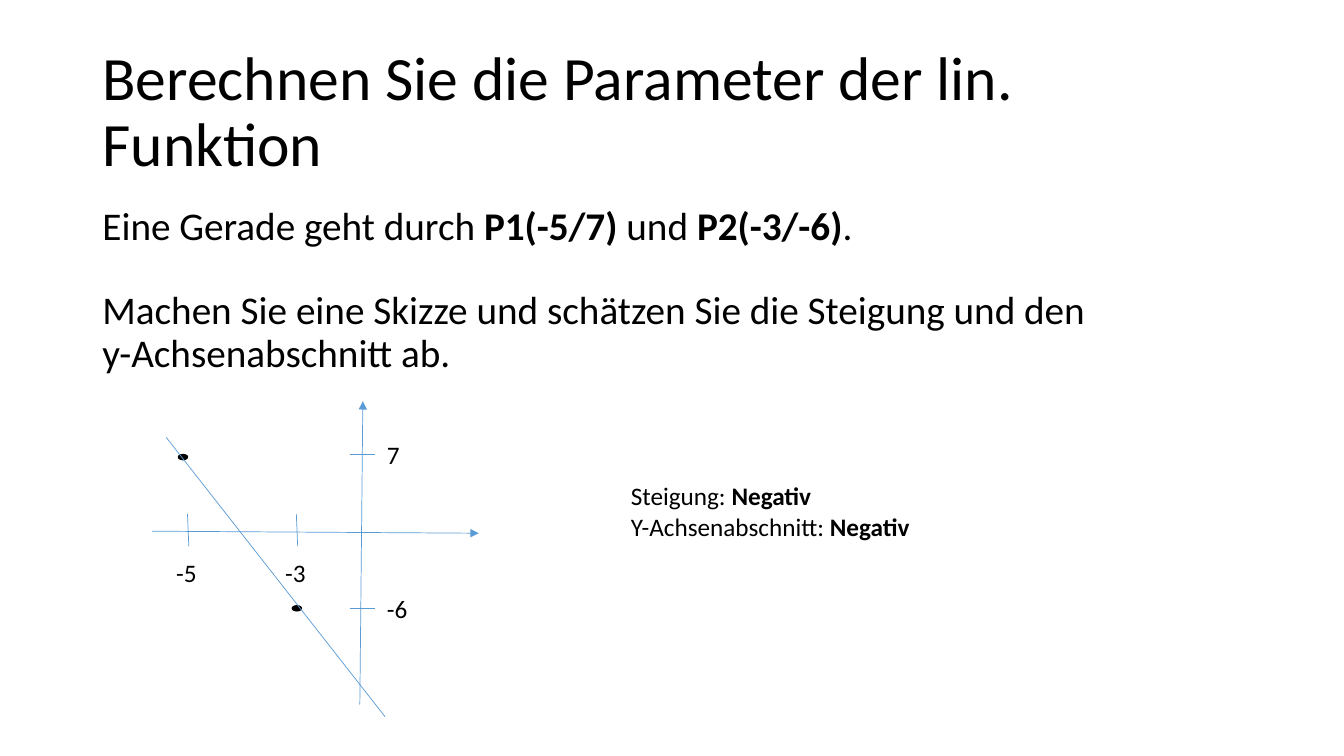
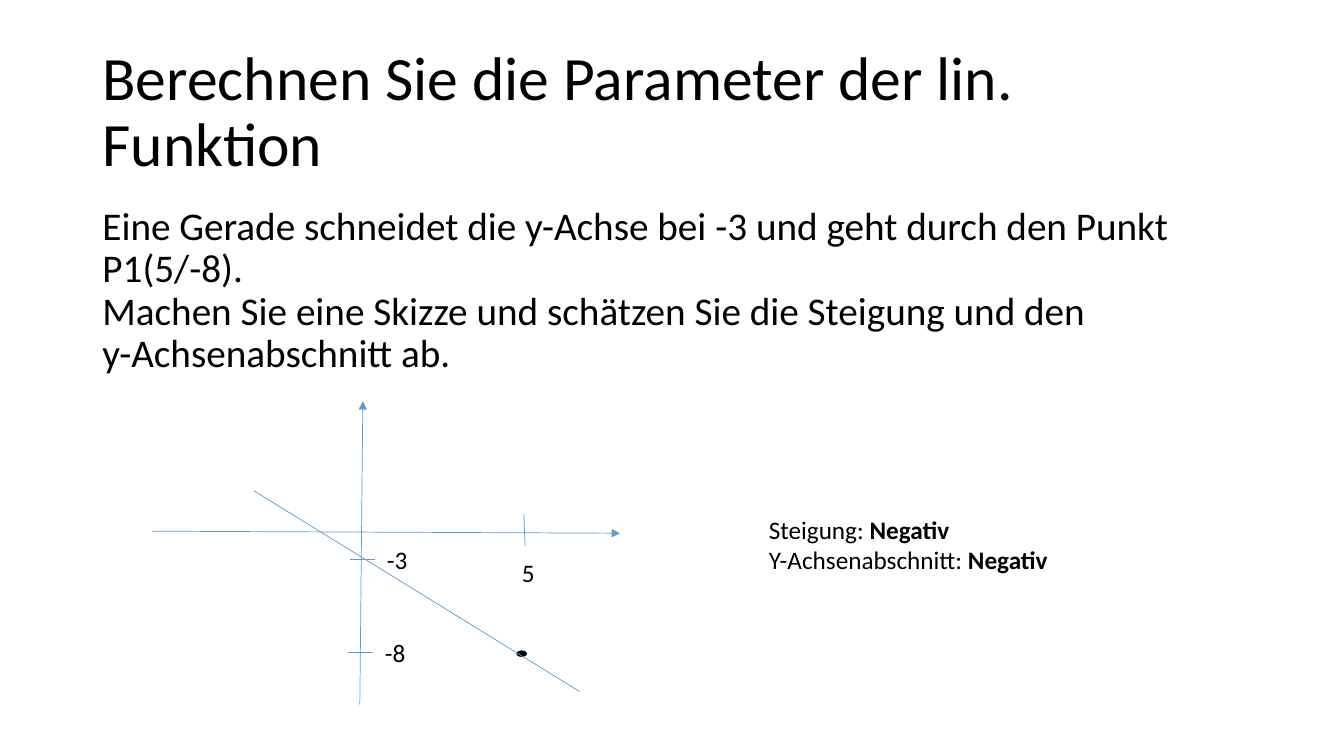
import lxml.etree
import pptx
import pptx.util
import pptx.dml.color
import pptx.enum.shapes
import pptx.enum.text
import pptx.oxml.ns

BLACK = pptx.dml.color.RGBColor(0x00, 0x00, 0x00)
BLUE = pptx.dml.color.RGBColor(0x5B, 0x9B, 0xD5)
FONT = "Calibri"

presentation = pptx.Presentation()
presentation.slide_width = pptx.util.Inches(13.333)
presentation.slide_height = pptx.util.Inches(7.5)
COLUMN = presentation.slide_width / 40
ROW = presentation.slide_height / 30

ANCHOR = pptx.enum.text.MSO_ANCHOR
FIT = pptx.enum.text.MSO_AUTO_SIZE
LEFT = pptx.enum.text.PP_ALIGN.LEFT

TITLE = {
    "size": 44,
    "frame": {"vertical_anchor": ANCHOR.MIDDLE, "auto_size": FIT.NONE, "word_wrap": True},
    "paragraph": {"alignment": LEFT, "line_spacing": 0.9},
}
BODY = {
    "size": 28,
    "frame": {"vertical_anchor": ANCHOR.TOP, "auto_size": FIT.NONE, "word_wrap": True},
    "paragraph": {"alignment": LEFT, "line_spacing": 0.9},
}
LABEL = {
    "size": 18,
    "frame": {"auto_size": FIT.SHAPE_TO_FIT_TEXT, "word_wrap": True},
    "paragraph": {"alignment": LEFT},
}
ANSWER = {**LABEL, "frame": {"auto_size": FIT.SHAPE_TO_FIT_TEXT, "word_wrap": False}}

TITLE_TEXT = "Berechnen Sie die Parameter der lin. Funktion"
TASK = "Machen Sie eine Skizze und schätzen Sie die Steigung und den \ny-Achsenabschnitt ab."
ANSWER_TEXT = ["Steigung: **Negativ", "Y-Achsenabschnitt: **Negativ"]

EXERCISES = [
    {
        "body": ["Eine Gerade geht durch **P1(-5/7) **und **P2(-3/-6)**.", TASK],
        "gap": 30,
        "body_rows": 7.92,
        "axis_end": 14.25,
        "x_ticks": [("-5", 5.6, 4.95), ("-3", 8.84, 8.19)],
        "y_ticks": [("7", 10.41, 18.04), ("-6", 10.41, 24.16)],
        "points": [(5.31, 18.04), (8.7, 24.04)],
        "graph": (4.95, 17.36, 11.46, 28.44),
        "answer": (18.48, 18.88),
    },
    {
        "body": ["Eine Gerade schneidet die y-Achse bei -3 und geht durch den Punkt \nP1(5/-8).", TASK],
        "gap": 0,
        "body_rows": 9.28,
        "axis_end": 18.45,
        "x_ticks": [("5", 15.61, 15.24)],
        "y_ticks": [("-3", 10.41, 22.2), ("-8", 10.35, 25.88)],
        "points": [(15.39, 25.84)],
        "graph": (7.56, 19.48, 17.25, 27.44),
        "answer": (22.59, 20.2),
    },
]


def write_text(shape, texts, style, gap=0):
    text_frame = shape.text_frame
    for name, value in style["frame"].items():
        setattr(text_frame, name, value)
    for number, text in enumerate(texts):
        paragraph = text_frame.add_paragraph() if number else text_frame.paragraphs[0]
        for name, value in style["paragraph"].items():
            setattr(paragraph, name, value)
        paragraph.space_before = pptx.util.Pt(gap if number else 0)
        for part, passage in enumerate(text.split("**")):
            for line_number, line in enumerate(passage.split("\n")):
                if line_number:
                    paragraph.add_line_break()
                run = paragraph.add_run()
                run.text = line
                font = {"name": FONT, "size": pptx.util.Pt(style["size"]), "bold": part % 2 == 1}
                for name, value in font.items():
                    setattr(run.font, name, value)
                run.font.color.rgb = BLACK


def draw_line(slide, left, top, right, bottom, arrow=False):
    connector = slide.shapes.add_connector(
        pptx.enum.shapes.MSO_CONNECTOR.STRAIGHT,
        round(left * COLUMN), round(top * ROW), round(right * COLUMN), round(bottom * ROW),
    )
    connector.line.color.rgb = BLUE
    connector.line.width = pptx.util.Pt(0.5)
    properties = connector.element.spPr
    if arrow:
        line = properties.find(pptx.oxml.ns.qn("a:ln"))
        lxml.etree.SubElement(line, pptx.oxml.ns.qn("a:tailEnd"), type="triangle")
    lxml.etree.SubElement(properties, pptx.oxml.ns.qn("a:effectLst"))


for exercise in EXERCISES:
    slide = presentation.slides.add_slide(presentation.slide_layouts[1])
    title = slide.shapes.title
    body = slide.placeholders[1]
    for placeholder, top, rows in [(title, 1.6, 5.8), (body, 8, exercise["body_rows"])]:
        position = {"left": 2.75 * COLUMN, "top": top * ROW, "width": 34.5 * COLUMN, "height": rows * ROW}
        for name, value in position.items():
            setattr(placeholder, name, round(value))
    write_text(title, [TITLE_TEXT], TITLE)
    write_text(body, exercise["body"], BODY, exercise["gap"])
    for paragraph in body.text_frame.paragraphs:
        properties = paragraph._p.get_or_add_pPr()
        for name in ("marL", "indent"):
            properties.set(name, "0")
        lxml.etree.SubElement(properties, pptx.oxml.ns.qn("a:buNone"))

    texts = [(*exercise["answer"], 9, 2.84, ANSWER_TEXT, ANSWER)]
    for text, column, label_column in exercise["x_ticks"]:
        draw_line(slide, column - 0.02, 20.4, column + 0.02, 21.68)
        texts.append((label_column, 21.9, 1.26, 1.6, [text], LABEL))
    for text, column, row in exercise["y_ticks"]:
        draw_line(slide, column, row, column + 0.75, row)
        texts.append((column + 0.81, row - 0.8, 1.26, 1.6, [text], LABEL))
    for left, top, columns, rows, lines, style in texts:
        box = slide.shapes.add_textbox(
            round(left * COLUMN), round(top * ROW), round(columns * COLUMN), round(rows * ROW)
        )
        write_text(box, lines, style)

    draw_line(slide, 4.53, 21.08, exercise["axis_end"], 21.16, arrow=True)
    draw_line(slide, 10.71, 27.96, 10.8, 15.92, arrow=True)
    for column, row in exercise["points"]:
        point = slide.shapes.add_shape(
            pptx.enum.shapes.MSO_SHAPE.FLOWCHART_CONNECTOR,
            round(column * COLUMN), round(row * ROW), round(0.27 * COLUMN), round(0.2 * ROW),
        )
        point.shadow.inherit = False
        point.fill.solid()
        point.fill.fore_color.rgb = BLACK
        point.line.color.rgb = BLACK
        point.line.width = pptx.util.Pt(1)
    draw_line(slide, *exercise["graph"])

presentation.save("out.pptx")
